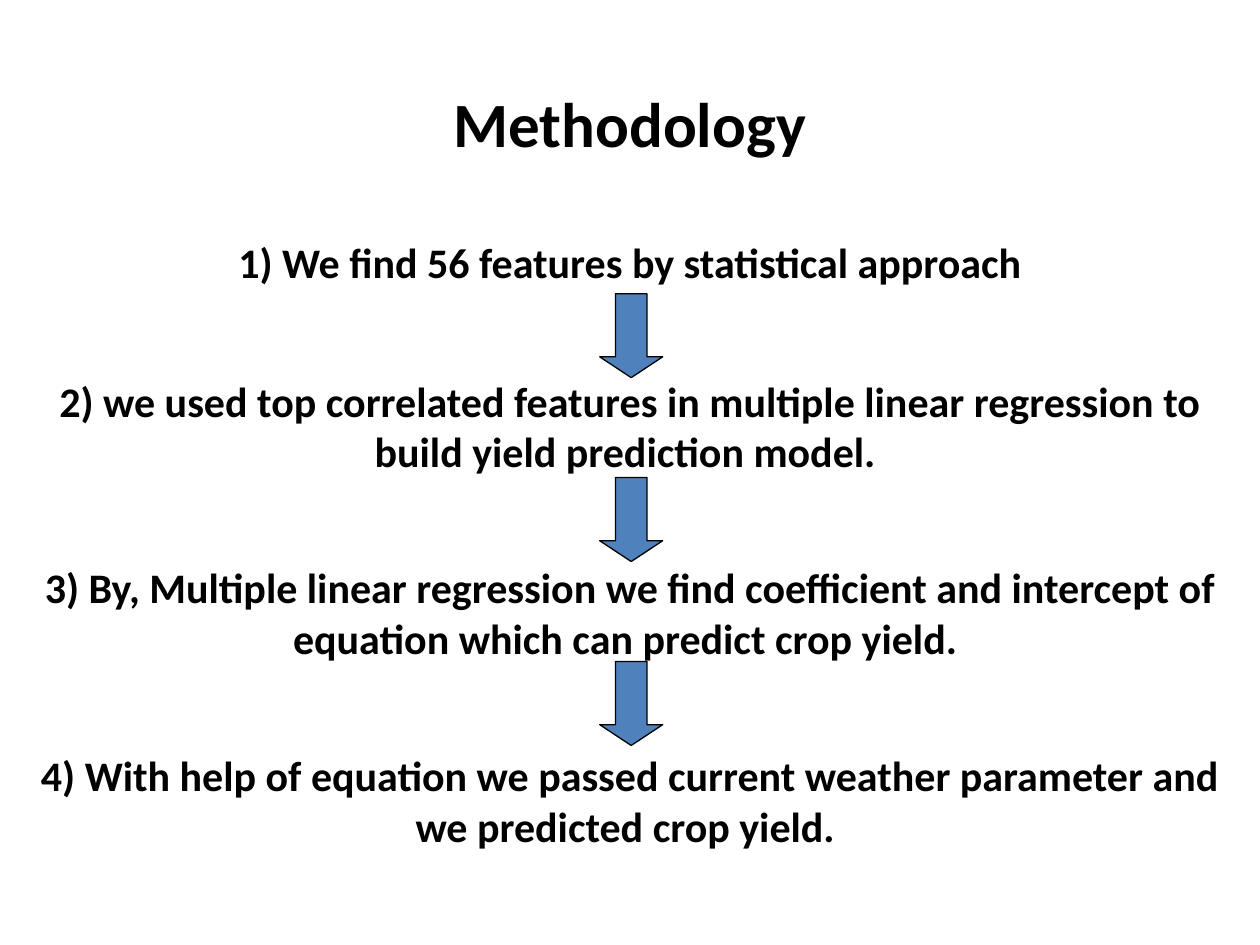
from pptx import Presentation
from pptx.dml.color import RGBColor
from pptx.enum.shapes import MSO_SHAPE
from pptx.enum.text import MSO_ANCHOR, PP_ALIGN
from pptx.util import Pt

# Content
TITLE = "Methodology"
STEPS = [  # text, top, height
    ("1) We find 56 features by statistical approach", 131.8, 65.5),
    ("2) we used top correlated features in multiple linear regression to "
     "build yield prediction model. ", 211, 65.5),
    ("3) By, Multiple linear regression we find coefficient and intercept of "
     "equation which can predict crop yield. ", 317.5, 94.3),
    ("4) With help of equation we passed current weather parameter and "
     "we predicted crop yield. ", 424.8, 94.3),
]

# Layout
WIDTH, HEIGHT = 720, 540
ARROW_LEFT, ARROW_TOP, ARROW_PITCH = 342.7, 167.8, 105.1
ARROW_W, ARROW_H = 36, 48


def color(value):
    return RGBColor.from_string(value)


def add_text(s, text, top, height, size):
    tf = s.shapes.add_textbox(0, Pt(top), Pt(WIDTH), Pt(height)).text_frame
    tf.word_wrap = True
    tf.vertical_anchor = MSO_ANCHOR.TOP
    p = tf.paragraphs[0]
    p.alignment = PP_ALIGN.CENTER
    r = p.add_run()
    r.text = text
    r.font.name = "Calibri"
    r.font.size = Pt(size)
    r.font.bold = True
    r.font.color.rgb = color("000000")


def add_arrow(s, top):
    sp = s.shapes.add_shape(MSO_SHAPE.DOWN_ARROW, Pt(ARROW_LEFT), Pt(top),
                            Pt(ARROW_W), Pt(ARROW_H))
    sp.adjustments[0] = 0.5
    sp.adjustments[1] = 0.33
    sp.shadow.inherit = False
    sp.fill.solid()
    sp.fill.fore_color.rgb = color("4F81BD")
    sp.line.color.rgb = color("000000")
    sp.line.width = Pt(0.75)


prs = Presentation()
prs.slide_width, prs.slide_height = Pt(WIDTH), Pt(HEIGHT)
s = prs.slides.add_slide(prs.slide_layouts[6])

# Title and steps
add_text(s, TITLE, 44.6, 72, 36)
for text, top, height in STEPS:
    add_text(s, text, top, height, 24)

# One arrow between each pair of steps
for i in range(len(STEPS) - 1):
    add_arrow(s, ARROW_TOP + i * ARROW_PITCH)

prs.save("out.pptx")
